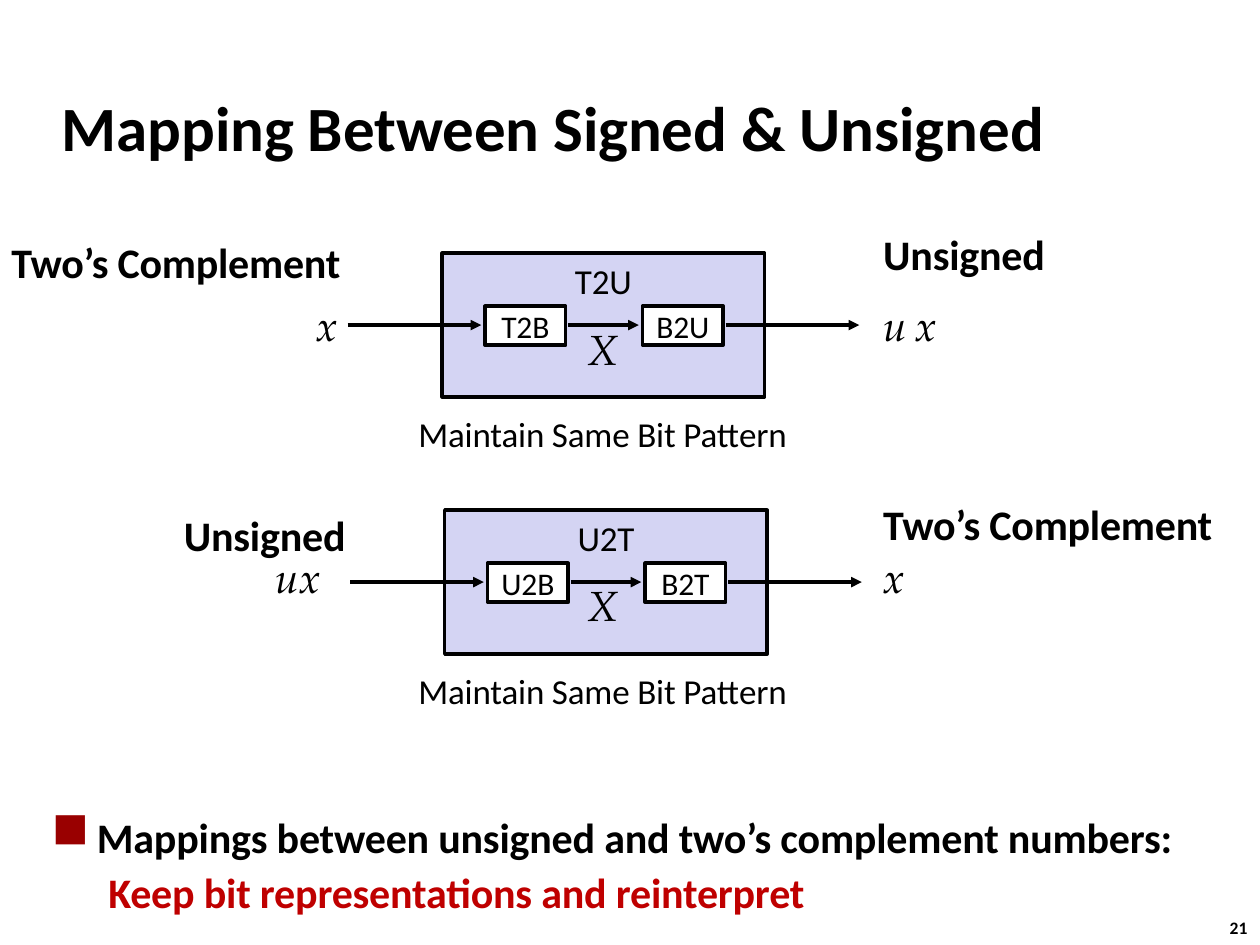
from pptx import Presentation
from pptx.dml.color import RGBColor
from pptx.enum.shapes import MSO_CONNECTOR as CONN, MSO_SHAPE as SHAPE
from pptx.enum.text import MSO_ANCHOR as ANCHOR, PP_ALIGN as ALIGN
from pptx.oxml.ns import qn
from pptx.util import Inches, Pt
from lxml import etree

COLORS = {"black": "000000", "white": "FFFFFF", "lavender": "D4D4F3",
          "bullet": "990000", "red": "BF0000"}
SANS, MATH = "Calibri", "TeX Gyre Pagella"


def rgb(name):
    return RGBColor.from_string(COLORS[name])


def write(sp, lines, anchor=ANCHOR.TOP, top=0):
    """Fill a shape with lines of (text, size, options)."""
    tf = sp.text_frame
    tf.word_wrap = True
    tf.vertical_anchor = anchor
    tf.margin_left = tf.margin_right = tf.margin_bottom = 0
    tf.margin_top = Inches(top)
    for i, (text, size, opt) in enumerate(lines):
        p = tf.paragraphs[0] if i == 0 else tf.add_paragraph()
        r = p.add_run()
        r.text = text
        if "spc" in opt:
            r._r.get_or_add_rPr().set("spc", str(opt["spc"]))
        p.alignment = opt.get("align", ALIGN.LEFT)
        p.space_before = Pt(opt.get("before", 0))
        f = p.font
        f.name, f.size = opt.get("font", SANS), Pt(size)
        f.bold, f.italic = opt.get("bold", False), opt.get("italic", False)
        f.color.rgb = rgb(opt.get("color", "black"))
    return tf


prs = Presentation()
prs.slide_width, prs.slide_height = Inches(10), Inches(7.5)
s = prs.slides.add_slide(prs.slide_layouts[5])

# Title
title = s.shapes.title
title.left, title.top = Inches(0.49), Inches(0.69)
title.width, title.height = Inches(8.2), Inches(0.63)
write(title, [("Mapping Between Signed & Unsigned", 36, {"bold": True, "spc": -5})], top=0.01)

# Mapping diagrams: outer box, two steps, three arrows
diagrams = [(0, 0, "T2U", ("T2B", "B2U")), (0.02, 2.04, "U2T", ("U2B", "B2T"))]
for dx, dy, name, steps in diagrams:
    boxes = [(3.51, 2.01, 2.56, 1.14, "lavender", name, 20, ANCHOR.TOP, 0.05)]
    boxes += [(3.85 + 1.25 * i, 2.43, 0.64, 0.31, "white", step, 18, ANCHOR.MIDDLE, 0)
              for i, step in enumerate(steps)]
    for x, y, w, h, fill, text, size, anchor, top in boxes:
        sp = s.shapes.add_shape(SHAPE.RECTANGLE, Inches(x + dx), Inches(y + dy),
                                Inches(w), Inches(h))
        sp.shadow.inherit = False
        sp.fill.solid()
        sp.fill.fore_color.rgb = rgb(fill)
        sp.line.color.rgb = rgb("black")
        sp.line.width = Pt(2)
        write(sp, [(text, size, {"align": ALIGN.CENTER, "spc": -10})], anchor, top)
    for x1, x2 in [(2.76, 3.82), (4.51, 5.07), (5.76, 6.82)]:
        y = Inches(2.58 + dy)
        arrow = s.shapes.add_connector(CONN.STRAIGHT, Inches(x1 + dx), y, Inches(x2 + dx), y)
        arrow.line.color.rgb = rgb("black")
        arrow.line.width = Pt(2)
        etree.SubElement(arrow.line._get_or_add_ln(), qn("a:tailEnd"), type="triangle")
        etree.SubElement(arrow._element.spPr, qn("a:effectLst"))

# Labels
label = {"bold": True, "spc": -10}
wide_label = {"bold": True, "spc": -15}
math = {"font": MATH, "italic": True}
pattern = [("Maintain Same Bit Pattern", 20, {"spc": -10})]
bits = [("X", 24, math)]
texts = [
    (0.09, 1.88, 2.67, 0.43, [("Two’s Complement", 24, wide_label)]),
    (2.3, 2.38, 0.38, 0.43, [("x", 24, {**math, "align": ALIGN.RIGHT})]),
    (7.01, 1.81, 1.4, 0.98, [("Unsigned", 24, label),
                             ("ux", 24, {**math, "before": 12.1, "spc": 530})]),
    (4.66, 2.57, 0.36, 0.43, bits),
    (3.32, 3.27, 3.1, 0.36, pattern),
    (1.46, 4.04, 1.4, 0.43, [("Unsigned", 24, label)]),
    (2.19, 4.38, 0.53, 0.43, [("ux", 24, math)]),
    (7.01, 3.96, 2.7, 0.85, [("Two’s Complement", 24, wide_label),
                             ("x", 24, {**math, "before": 1.3})]),
    (4.66, 4.6, 0.36, 0.43, bits),
    (3.32, 5.31, 3.1, 0.36, pattern),
    (9.76, 7.28, 0.2, 0.17, [("21", 10, {"bold": True})]),
]
for x, y, w, h, lines in texts:
    write(s.shapes.add_textbox(Inches(x), Inches(y), Inches(w), Inches(h)), lines)

# Summary
summary = s.shapes.add_textbox(Inches(0.4), Inches(6.44), Inches(9.1), Inches(0.88))
tf = write(summary, [
    ("Mappings between unsigned and two’s complement numbers:", 24, label),
    ("Keep bit representations and reinterpret", 24, {**label, "color": "red", "before": 2.4}),
])
for p, margin, indent in zip(tf.paragraphs, (0.37, 0.46), (-0.36, 0)):
    pPr = p._p.get_or_add_pPr()
    pPr.set("marL", str(Inches(margin)))
    pPr.set("indent", str(Inches(indent)))

# Square bullet: "n" is the filled square in Wingdings
pPr = tf.paragraphs[0]._p.pPr
bullet_color = etree.Element(qn("a:buClr"))
etree.SubElement(bullet_color, qn("a:srgbClr"), val=COLORS["bullet"])
bullet_size = etree.Element(qn("a:buSzPct"), val="120000")
bullet_font = etree.Element(qn("a:buFont"), typeface="Wingdings", charset="2")
bullet = etree.Element(qn("a:buChar"), char="n")
for element in (bullet_color, bullet_size, bullet_font, bullet):
    pPr.find(qn("a:defRPr")).addprevious(element)

prs.save("out.pptx")
